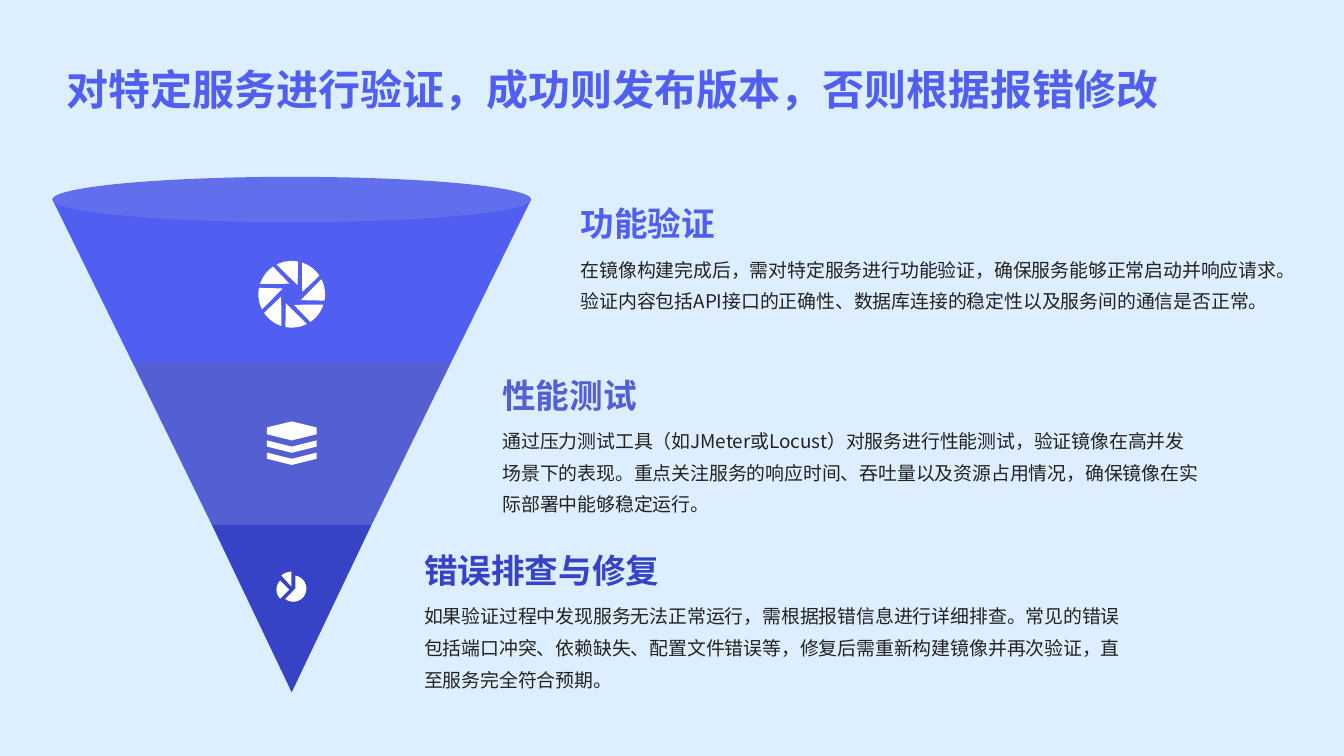
from math import cos, radians, sin

from lxml.etree import SubElement
from pptx import Presentation
from pptx.dml.color import RGBColor
from pptx.enum.shapes import MSO_SHAPE as Shape
from pptx.enum.text import MSO_ANCHOR as Anchor, MSO_AUTO_SIZE as AutoSize, PP_ALIGN as Align
from pptx.oxml.ns import qn
from pptx.util import Pt

# Content
TITLE = "对特定服务进行验证，成功则发布版本，否则根据报错修改"
STAGES = [  # heading, body, colour, top of the text
    ("功能验证",
     "在镜像构建完成后，需对特定服务进行功能验证，确保服务能够正常启动并响应请求。"
     "验证内容包括API接口的正确性、数据库连接的稳定性以及服务间的通信是否正常。",
     "505FF2", 135.4),
    ("性能测试",
     "通过压力测试工具（如JMeter或Locust）对服务进行性能测试，验证镜像在高并发场景下的表现。"
     "重点关注服务的响应时间、吞吐量以及资源占用情况，确保镜像在实际部署中能够稳定运行。",
     "535FD3", 257.8),
    ("错误排查与修复",
     "如果验证过程中发现服务无法正常运行，需根据报错信息进行详细排查。"
     "常见的错误包括端口冲突、依赖缺失、配置文件错误等，修复后需重新构建镜像并再次验证，直至服务完全符合预期。",
     "3643C6", 383.2),
]
FONT = "Noto Sans CJK SC"
BACKGROUND, RIM, WHITE, INK = "DDEFFE", "626FEC", "FFFFFF", "222222"

# Funnel geometry, in points
AXIS = 208.4
LEVELS = [142.5, 258.5, 375, 494.5]
HALF_STEP = 57  # the funnel narrows by this much on each side per stage
RIM_HEIGHT = 32.4
TEXT_LEFT, TEXT_STEP = 406.2, 55.9

prs = Presentation()
prs.slide_width, prs.slide_height = Pt(960), Pt(540)
slide = prs.slides.add_slide(prs.slide_layouts[5])


def color(hex_string):
    return RGBColor.from_string(hex_string)


def paint(shape, fill):
    shape.shadow.inherit = False
    shape.fill.solid()
    shape.fill.fore_color.rgb = color(fill)
    shape.line.fill.background()


def outline(contours, fill):
    """Draw closed contours as one shape, to a hundredth of a point."""
    scaled = [[(x * 100, y * 100) for x, y in contour] for contour in contours]
    builder = slide.shapes.build_freeform(*scaled[0][0], scale=Pt(1) / 100)
    builder.add_line_segments(scaled[0][1:], close=True)
    for contour in scaled[1:]:
        builder.move_to(*contour[0])
        builder.add_line_segments(contour[1:], close=True)
    paint(builder.convert_to_shape(), fill)


def sector(tip, center, radius, start, end, steps=16):
    """A tip joined to an arc; angles run clockwise from the right."""
    angles = [radians(start + (end - start) * i / steps) for i in range(steps + 1)]
    return [tip] + [(center[0] + radius * cos(a), center[1] + radius * sin(a)) for a in angles]


def write(shape, text, size, hue, spacing, insets, bold=False, anchor=Anchor.TOP):
    frame = shape.text_frame
    frame.word_wrap = True
    frame.auto_size = AutoSize.NONE
    frame.vertical_anchor = anchor
    frame.margin_left, frame.margin_top, frame.margin_right, frame.margin_bottom = map(Pt, insets)
    frame.text = text
    paragraph = frame.paragraphs[0]
    paragraph.alignment = Align.LEFT
    paragraph.line_spacing = spacing
    font = paragraph.font
    font.size, font.bold, font.name = Pt(size), bold, FONT
    font.color.rgb = color(hue)
    # East Asian typeface
    SubElement(paragraph._p.pPr.find(qn("a:defRPr")), qn("a:ea"), typeface=FONT)


# Background and title
slide.background.fill.solid()
slide.background.fill.fore_color.rgb = color(BACKGROUND)
title = slide.shapes.title
title.left, title.top, title.width, title.height = Pt(37.5), Pt(21), Pt(885), Pt(74)
write(title, TITLE, 30, STAGES[0][2], 1.4, (10, 10, 4, 10), bold=True)
title.text_frame.auto_size = AutoSize.SHAPE_TO_FIT_TEXT

# Funnel stages and rim
for i, (_, _, hue, _) in enumerate(STAGES):
    upper, lower = HALF_STEP * (3 - i), HALF_STEP * (2 - i)
    top, bottom = LEVELS[i:i + 2]
    outline([[(AXIS - upper, top), (AXIS + upper, top),
              (AXIS + lower, bottom), (AXIS - lower, bottom)]], hue)
rim_half = HALF_STEP * 3
rim = slide.shapes.add_shape(Shape.OVAL, Pt(AXIS - rim_half), Pt(LEVELS[0] - RIM_HEIGHT / 2),
                             Pt(rim_half * 2), Pt(RIM_HEIGHT))
paint(rim, RIM)

# Shutter icon: one blade turned eight times
shutter = (AXIS, 210.2)
blades = []
for turn in range(0, 360, 45):
    angle = radians(turn + 33)
    tip = (shutter[0] + 7.7 * cos(angle), shutter[1] + 7.7 * sin(angle))
    blades.append(sector(tip, shutter, 23.8, turn - 27, turn + 11))
outline(blades, WHITE)

# Layers icon: a lid over two chevrons
left, right = AXIS - 17.7, AXIS + 17.7
lid = [(left, 305.3), (AXIS, 301), (right, 305.3), (right, 310.2), (AXIS, 314.6), (left, 310.2)]
chevrons = [[(left, y), (AXIS, y + 4.4), (right, y), (right, y + 4.4), (AXIS, y + 8.8), (left, y + 4.4)]
            for y in (314.6, 323.3)]
outline([lid] + chevrons, WHITE)

# Pie icon
outline([
    sector((206.6, 421.2), (206.6, 421.2), 9.1, 135, 225),
    sector((211, 420.5), (209.5, 420.5), 9.4, -81, 128),
    sector((208.1, 419), (208.1, 419), 10.6, 228, 270),
], WHITE)

# Stage texts
for i, (heading, body, hue, top) in enumerate(STAGES):
    x = Pt(TEXT_LEFT - TEXT_STEP * i)
    insets = (8.6, 4.3, 8.6, 4.3)
    heading_box = slide.shapes.add_textbox(x, Pt(top), Pt(321), Pt(42.5))
    write(heading_box, heading, 24, hue, 1.2, insets, bold=True, anchor=Anchor.MIDDLE)
    body_box = slide.shapes.add_textbox(x, Pt(top + 38.2), Pt(517.7), Pt(82))
    write(body_box, body, 13.5, INK, 1.4, insets)

prs.save("out.pptx")
